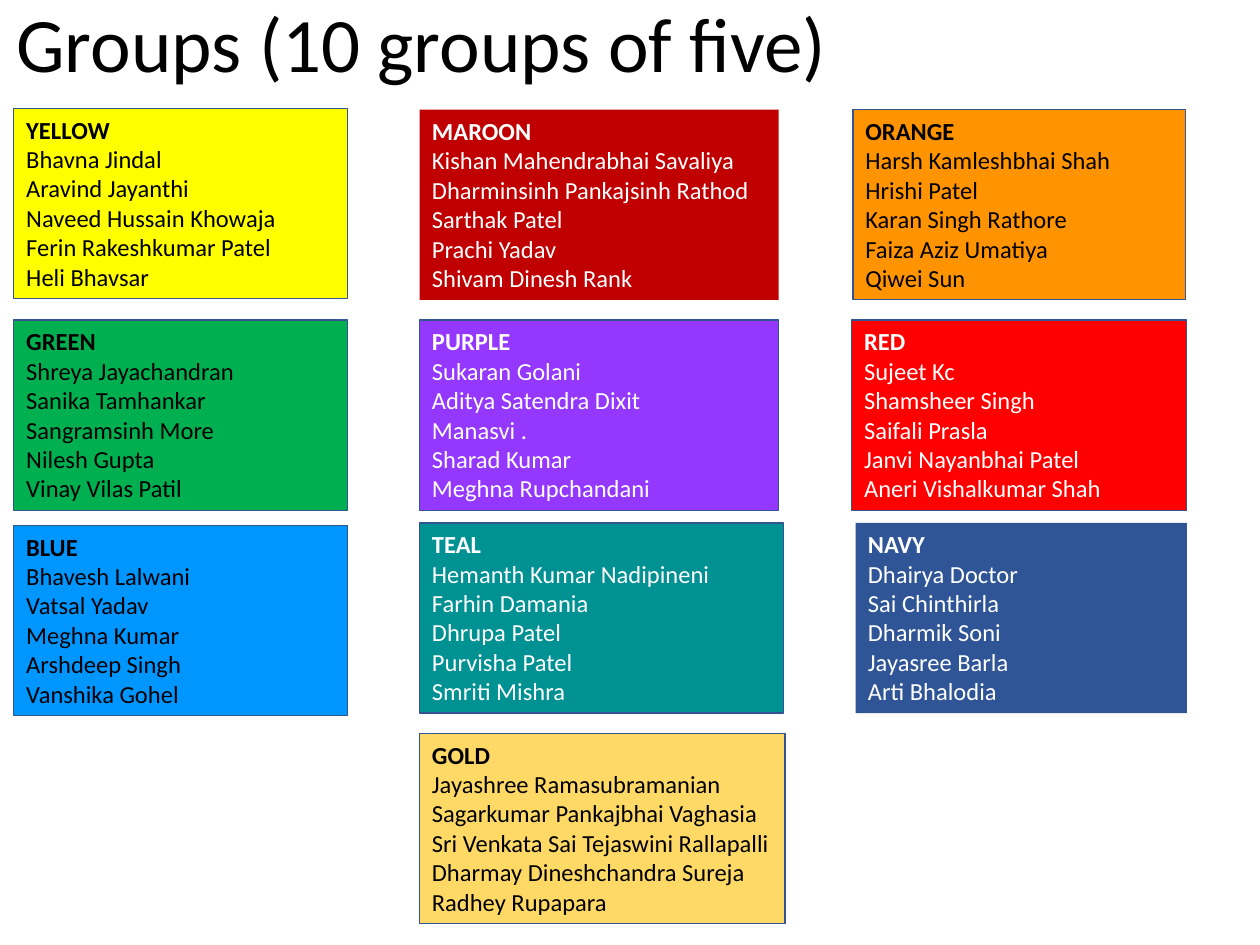
from dataclasses import dataclass

from pptx import Presentation
from pptx.dml.color import RGBColor
from pptx.enum.shapes import MSO_SHAPE as Shape
from pptx.enum.text import MSO_ANCHOR as Anchor, MSO_AUTO_SIZE as AutoSize, PP_ALIGN as Align
from pptx.util import Emu, Pt

PX = 9144
CARD_HEIGHT = 151


@dataclass(frozen=True)
class Theme:
    """Colours and type sizes of the slide."""
    font: str = "Calibri"
    title_size: int = 44
    card_size: int = 14
    dark: str = "000000"
    light: str = "FFFFFF"
    outline: str = "325491"
    outline_width: float = 0.75


THEME = Theme()

# name, fill, text colour, outlined, (left, top, width), members
GROUPS = [
    ("YELLOW", "FFFF00", THEME.dark, True, (11, 86, 265),
     ["Bhavna Jindal", "Aravind Jayanthi", "Naveed Hussain Khowaja",
      "Ferin Rakeshkumar Patel", "Heli Bhavsar"]),
    ("GREEN", "00B050", THEME.dark, True, (11, 254, 265),
     ["Shreya Jayachandran", "Sanika Tamhankar", "Sangramsinh More",
      "Nilesh Gupta", "Vinay Vilas Patil"]),
    ("BLUE", "0096FF", THEME.dark, True, (11, 417, 265),
     ["Bhavesh Lalwani", "Vatsal Yadav", "Meghna Kumar",
      "Arshdeep Singh", "Vanshika Gohel"]),
    ("RED", "FF0000", THEME.light, True, (676, 254, 266),
     ["Sujeet Kc", "Shamsheer Singh", "Saifali Prasla",
      "Janvi Nayanbhai Patel", "Aneri Vishalkumar Shah"]),
    ("MAROON", "C00000", THEME.light, False, (333, 87, 285),
     ["Kishan Mahendrabhai Savaliya", "Dharminsinh Pankajsinh Rathod",
      "Sarthak Patel", "Prachi Yadav", "Shivam Dinesh Rank"]),
    ("TEAL", "009193", THEME.light, True, (333, 415, 289),
     ["Hemanth Kumar Nadipineni", "Farhin Damania", "Dhrupa Patel",
      "Purvisha Patel", "Smriti Mishra"]),
    ("PURPLE", "9437FF", THEME.light, True, (333, 254, 285),
     ["Sukaran Golani", "Aditya Satendra Dixit", "Manasvi .",
      "Sharad Kumar", "Meghna Rupchandani"]),
    ("GOLD", "FFD966", THEME.dark, True, (333, 582, 290),
     ["Jayashree Ramasubramanian", "Sagarkumar Pankajbhai Vaghasia",
      "Sri Venkata Sai Tejaswini Rallapalli", "Dharmay Dineshchandra Sureja",
      "Radhey Rupapara"]),
    ("ORANGE", "FF9300", THEME.dark, True, (677, 87, 264),
     ["Harsh Kamleshbhai Shah", "Hrishi Patel", "Karan Singh Rathore",
      "Faiza Aziz Umatiya", "Qiwei Sun"]),
    ("NAVY", "2F5597", THEME.light, False, (679, 415, 263),
     ["Dhairya Doctor", "Sai Chinthirla", "Dharmik Soni",
      "Jayasree Barla", "Arti Bhalodia"]),
]


def emu(*lengths):
    """Turn px lengths into EMU."""
    return [Emu(length * PX) for length in lengths]


def write(paragraph, text, *, size, color=THEME.dark, bold=False, spacing=None):
    """Write left-aligned text into a paragraph."""
    paragraph.alignment = Align.LEFT
    if spacing:
        paragraph.line_spacing = spacing
    run = paragraph.add_run()
    run.text = text
    run.font.name = THEME.font
    run.font.size = Pt(size)
    run.font.bold = bold
    run.font.color.rgb = RGBColor.from_string(color)


def place_title(slide, text, box):
    """Move the title placeholder to its box and fill it."""
    title = slide.shapes.title
    title.left, title.top, title.width, title.height = emu(*box)
    frame = title.text_frame
    frame.vertical_anchor = Anchor.MIDDLE
    frame.auto_size = AutoSize.NONE
    write(frame.paragraphs[0], text, size=THEME.title_size, spacing=0.9)


def add_group_card(slide, box, name, members, *, fill, color, outlined):
    """Add a coloured card with a group name above its members."""
    card = slide.shapes.add_shape(Shape.RECTANGLE, *emu(*box))
    card.shadow.inherit = False
    card.fill.solid()
    card.fill.fore_color.rgb = RGBColor.from_string(fill)
    if outlined:
        card.line.color.rgb = RGBColor.from_string(THEME.outline)
        card.line.width = Pt(THEME.outline_width)
    else:
        card.line.fill.background()
    frame = card.text_frame
    frame.word_wrap = True
    frame.auto_size = AutoSize.SHAPE_TO_FIT_TEXT
    frame.vertical_anchor = Anchor.TOP
    for index, text in enumerate([name, *members]):
        paragraph = frame.add_paragraph() if index else frame.paragraphs[0]
        write(paragraph, text, size=THEME.card_size, color=color, bold=index == 0)


def main():
    """Build and save the slide."""
    presentation = Presentation()
    presentation.slide_width, presentation.slide_height = emu(1000, 750)
    slide = presentation.slides.add_slide(presentation.slide_layouts[5])
    place_title(slide, "Groups (10 groups of five)", (3, -35, 862, 145))
    for name, fill, color, outlined, place, members in GROUPS:
        add_group_card(slide, (*place, CARD_HEIGHT), name, members,
                       fill=fill, color=color, outlined=outlined)
    presentation.save("out.pptx")


if __name__ == "__main__":
    main()
